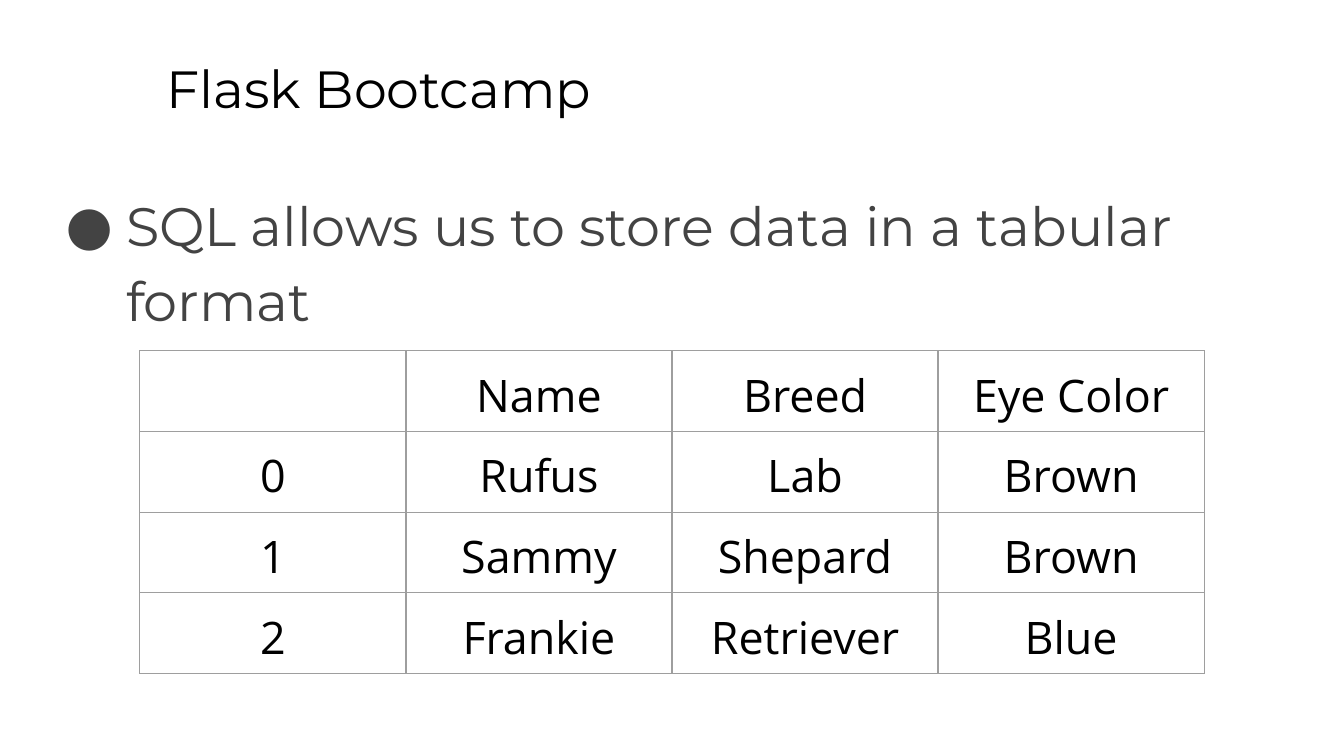
from dataclasses import dataclass

from lxml import etree
from pptx import Presentation
from pptx.dml.color import RGBColor
from pptx.enum import text as txt
from pptx.oxml import ns
from pptx.util import Inches, Pt

# Content
TITLE = "Flask Bootcamp"
POINT = "SQL allows us to store data in a tabular format"
DOGS = [
    ("", "Name", "Breed", "Eye Color"),
    ("0", "Rufus", "Lab", "Brown"),
    ("1", "Sammy", "Shepard", "Brown"),
    ("2", "Frankie", "Retriever", "Blue"),
]


@dataclass(frozen=True)
class Theme:
    heading_font: str = "Montserrat"
    table_font: str = "Open Sans"
    ink: str = "000000"
    body: str = "434343"
    rule: str = "9E9E9E"
    title_size: float = 28
    body_size: float = 29
    table_size: float = 24
    rule_width: float = 0.75


THEME = Theme()
INSET = Inches(0.1)
# Rows grow to fit their text
COLUMN_WIDTH, ROW_HEIGHT = Inches(1.98), Inches(0.42)


def style(paragraph, font, size, color):
    for run in paragraph.runs:
        run.font.name = font
        run.font.size = Pt(size)
        run.font.color.rgb = RGBColor.from_string(color)


def set_insets(part):
    part.margin_left = part.margin_right = INSET
    part.margin_top = part.margin_bottom = INSET


def add_text(slide, words, left, top, width, height, size, color):
    frame = slide.shapes.add_textbox(
        *(Inches(n) for n in (left, top, width, height))).text_frame
    frame.word_wrap = True
    frame.vertical_anchor = txt.MSO_ANCHOR.TOP
    set_insets(frame)
    frame.text = words
    style(frame.paragraphs[0], THEME.heading_font, size, color)
    return frame.paragraphs[0]


def add_bullet(paragraph, font, color):
    props = paragraph._p.get_or_add_pPr()
    props.set("marL", str(Inches(0.5)))
    props.set("indent", str(Inches(-0.45)))
    bullet_color = etree.SubElement(props, ns.qn("a:buClr"))
    etree.SubElement(bullet_color, ns.qn("a:srgbClr"), val=color)
    etree.SubElement(props, ns.qn("a:buFont"), typeface=font)
    etree.SubElement(props, ns.qn("a:buChar"), char="●")


def add_borders(cell):
    props = cell._tc.get_or_add_tcPr()
    for position, side in enumerate(("lnL", "lnR", "lnT", "lnB")):
        line = etree.Element(ns.qn(f"a:{side}"), w=str(Pt(THEME.rule_width)))
        fill = etree.SubElement(line, ns.qn("a:solidFill"))
        etree.SubElement(fill, ns.qn("a:srgbClr"), val=THEME.rule)
        props.insert(position, line)


# Widescreen slide, 16:9
deck = Presentation()
deck.slide_width = Inches(10)
deck.slide_height = Inches(10) * 9 // 16
slide = deck.slides.add_slide(deck.slide_layouts[6])

# Title and point
add_text(slide, TITLE, 1.14, 0.32, 8.52, 0.63, THEME.title_size, THEME.ink)
point = add_text(slide, POINT, 0.34, 1.26, 9.5, 3.74,
                 THEME.body_size, THEME.body)
point.line_spacing = 1.15
add_bullet(point, THEME.heading_font, THEME.body)

# Table of dogs
rows, columns = len(DOGS), len(DOGS[0])
dogs = slide.shapes.add_table(
    rows, columns, Inches(1.04), Inches(2.61),
    COLUMN_WIDTH * columns, ROW_HEIGHT * rows).table
dogs.first_row = dogs.horz_banding = False
for column in dogs.columns:
    column.width = COLUMN_WIDTH
for r, dog in enumerate(DOGS):
    dogs.rows[r].height = ROW_HEIGHT
    for c, value in enumerate(dog):
        cell = dogs.cell(r, c)
        set_insets(cell)
        cell.fill.background()
        add_borders(cell)
        cell.text = value
        entry = cell.text_frame.paragraphs[0]
        entry.alignment = txt.PP_ALIGN.CENTER
        style(entry, THEME.table_font, THEME.table_size, THEME.ink)

deck.save("out.pptx")
